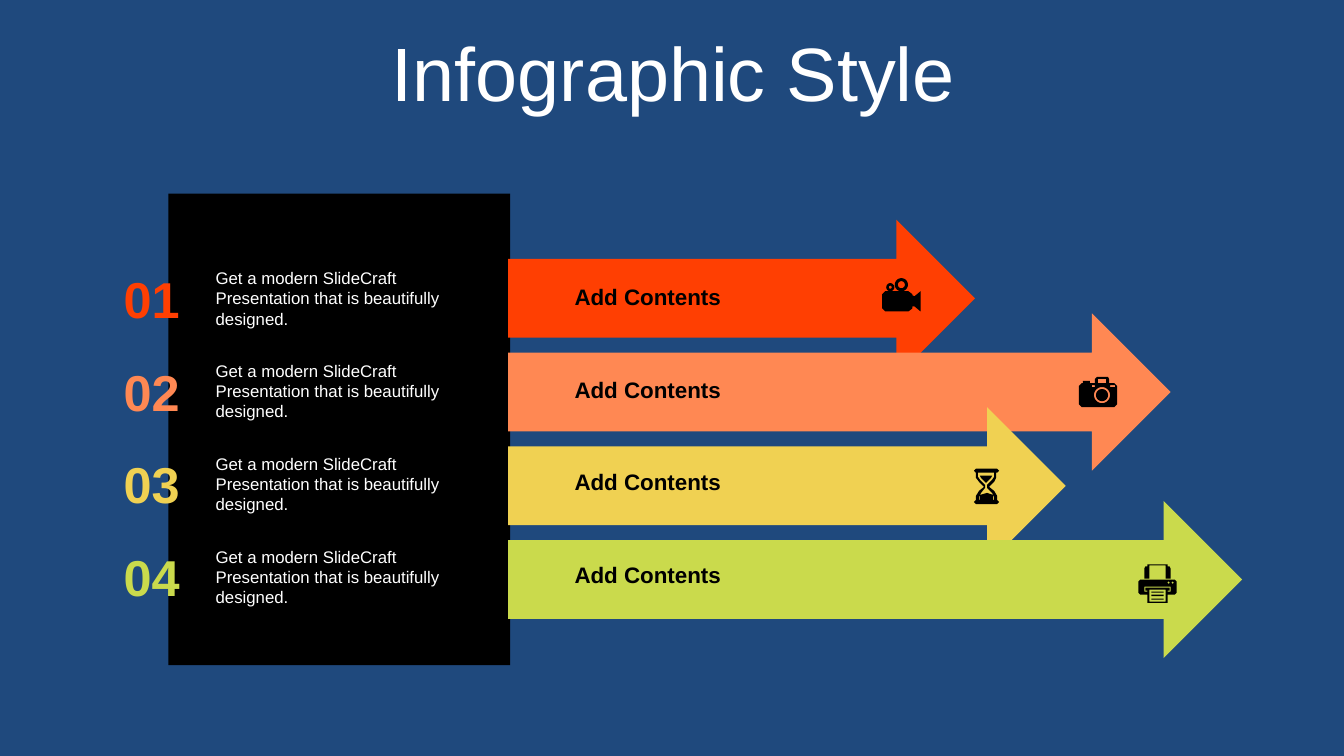
from math import cos, pi, sin

from pptx import Presentation
from pptx.dml.color import RGBColor
from pptx.enum.shapes import MSO_SHAPE as Kind
from pptx.enum.text import MSO_ANCHOR as Anchor, PP_ALIGN as Align
from pptx.util import Inches, Pt


def color(code):
    return RGBColor.from_string(code)


def box(x, y, w, h):
    return [(x, y), (x + w, y), (x + w, y + h), (x, y + h)]


def dot(x, y, r, count=32):
    turns = [2 * pi * i / count for i in range(count)]
    return [(x + r * cos(t), y + r * sin(t)) for t in turns]


VIDEO = [
    [(3, 13), (26, 13), (30, 16), (30, 17), (32, 18), (38, 13), (38, 33),
     (32, 28), (30, 28), (30, 30), (26, 33), (3, 33), (0, 30), (0, 16)],
    dot(8, 9, 4), dot(8, 9, 1.5), dot(19, 6.5, 6.5), dot(19, 6.5, 3.5),
]
CAMERA = [
    [(18, 0), (29, 0), (30, 2), (30, 6), (35, 6), (38, 9), (38, 27),
     (35, 30), (3, 30), (0, 27), (0, 9), (3, 6), (4, 6), (4, 4),
     (11, 4), (11, 6), (16, 6), (16, 2)],
    dot(23, 18, 8), dot(23, 18, 6),
    box(13, 8, 3, 2), box(31, 8, 5, 2), box(19, 2, 8, 4),
]
GLASS = [
    [(2, 0), (23, 0), (25, 2), (23, 4), (22, 4), (22, 9), (20, 13),
     (15, 18), (20, 22), (23, 27), (23, 31), (25, 33), (23, 35), (2, 35),
     (0, 33), (2, 31), (2, 27), (5, 22), (10, 18), (5, 13), (2, 9),
     (2, 4), (0, 2)],
    [(4, 4), (4, 8), (6, 11), (11, 16), (11, 19), (7, 24), (5, 28),
     (5, 31), (20, 31), (20, 28), (18, 24), (13, 19), (13, 16), (18, 11),
     (20, 8), (20, 4)],
    [(6, 7), (18, 7), (17, 9), (12, 14), (7, 9)],
    [(6, 31), (6, 26), (13, 24), (19, 26), (19, 31)],
]
PRINTER = [
    [(2, 15), (36, 15), (38, 17), (38, 28), (36, 30), (29, 30), (29, 38),
     (9, 38), (9, 30), (2, 30), (0, 28), (0, 17)],
    [(9, 0), (29, 0), (29, 2), (31, 2), (32, 4), (32, 14), (27, 14),
     (27, 1), (11, 1), (11, 14), (6, 14), (6, 4), (7, 2), (9, 2)],
    [(6, 22), (6, 27), (9, 27), (9, 26), (7, 26), (7, 23), (31, 23),
     (31, 26), (29, 26), (29, 27), (32, 27), (32, 22)],
    box(11, 25, 16, 12), dot(34, 18, 1), dot(30, 18, 1),
    box(13, 27, 12, 1), box(13, 30, 12, 1.5), box(13, 34, 12, 1),
]
ROWS = [
    ("FF3F02", 4.63, VIDEO, 8.75, 2.76),
    ("FF8853", 6.57, CAMERA, 10.7, 3.74),
    ("F0D152", 5.53, GLASS, 9.66, 4.65),
    ("CADA4C", 7.28, PRINTER, 11.29, 5.6),
]
NOTE = "Get a modern SlideCraft Presentation that is beautifully designed."


class Deck:
    """Holds the style and the current slide."""

    font = "Arial"
    white = "FFFFFF"
    black = "000000"
    back = "1F497D"

    def __init__(self, show):
        self.slide = show.slides.add_slide(show.slide_layouts[6])
        fill = self.slide.background.fill
        fill.solid()
        fill.fore_color.rgb = color(self.back)

    def paint(self, shape, code):
        shape.shadow.inherit = False
        shape.fill.solid()
        shape.fill.fore_color.rgb = color(code)
        shape.line.fill.background()

    def shape(self, kind, x, y, w, h, code):
        item = self.slide.shapes.add_shape(
            kind, Inches(x), Inches(y), Inches(w), Inches(h))
        self.paint(item, code)

    def text(self, words, x, y, w, h, size=12, code=white, bold=False,
             align=Align.LEFT, anchor=Anchor.TOP, space=1.0):
        item = self.slide.shapes.add_textbox(
            Inches(x), Inches(y), Inches(w), Inches(h))
        frame = item.text_frame
        frame.word_wrap = True
        frame.vertical_anchor = anchor
        para = frame.paragraphs[0]
        para.alignment = align
        para.line_spacing = space
        run = para.add_run()
        run.text = words
        run.font.name = self.font
        run.font.size = Pt(size)
        run.font.bold = bold
        run.font.color.rgb = color(code)

    def icon(self, rings, x, y):
        rings = [[(Inches(x + a / 100), Inches(y + b / 100)) for a, b in ring]
                 for ring in rings]
        pen = self.slide.shapes.build_freeform(*rings[0][0])
        for ring in rings:
            if ring is not rings[0]:
                pen.move_to(*ring[0])
            pen.add_line_segments(ring[1:], close=True)
        self.paint(pen.convert_to_shape(), self.black)


def main():
    show = Presentation()
    show.slide_width, show.slide_height = Inches(13.33), Inches(7.5)
    deck = Deck(show)
    deck.text("Infographic Style", 0.35, 0.37, 12.66, 0.79, size=54,
              align=Align.CENTER, anchor=Anchor.MIDDLE, space=0.9)
    deck.shape(Kind.RECTANGLE, 1.67, 1.92, 3.39, 4.68, deck.black)
    for i, (code, width, *_) in enumerate(ROWS):
        deck.shape(Kind.RIGHT_ARROW, 5.04, 2.18 + 0.93 * i, width, 1.56, code)
    for i, (code, _, rings, x, y) in enumerate(ROWS):
        top = 2.61 + 0.92 * i
        deck.text(f"{i + 1:02}", 1.03, top, 0.95, 0.71, size=36, code=code,
                  bold=True, align=Align.CENTER)
        deck.text(NOTE, 2.04, top, 2.55, 0.71)
        deck.text("Add Contents", 5.6, top + 0.15, 2.47, 0.37, size=16,
                  code=deck.black, bold=True)
        deck.icon(rings, x, y)
    show.save("out.pptx")


if __name__ == "__main__":
    main()
